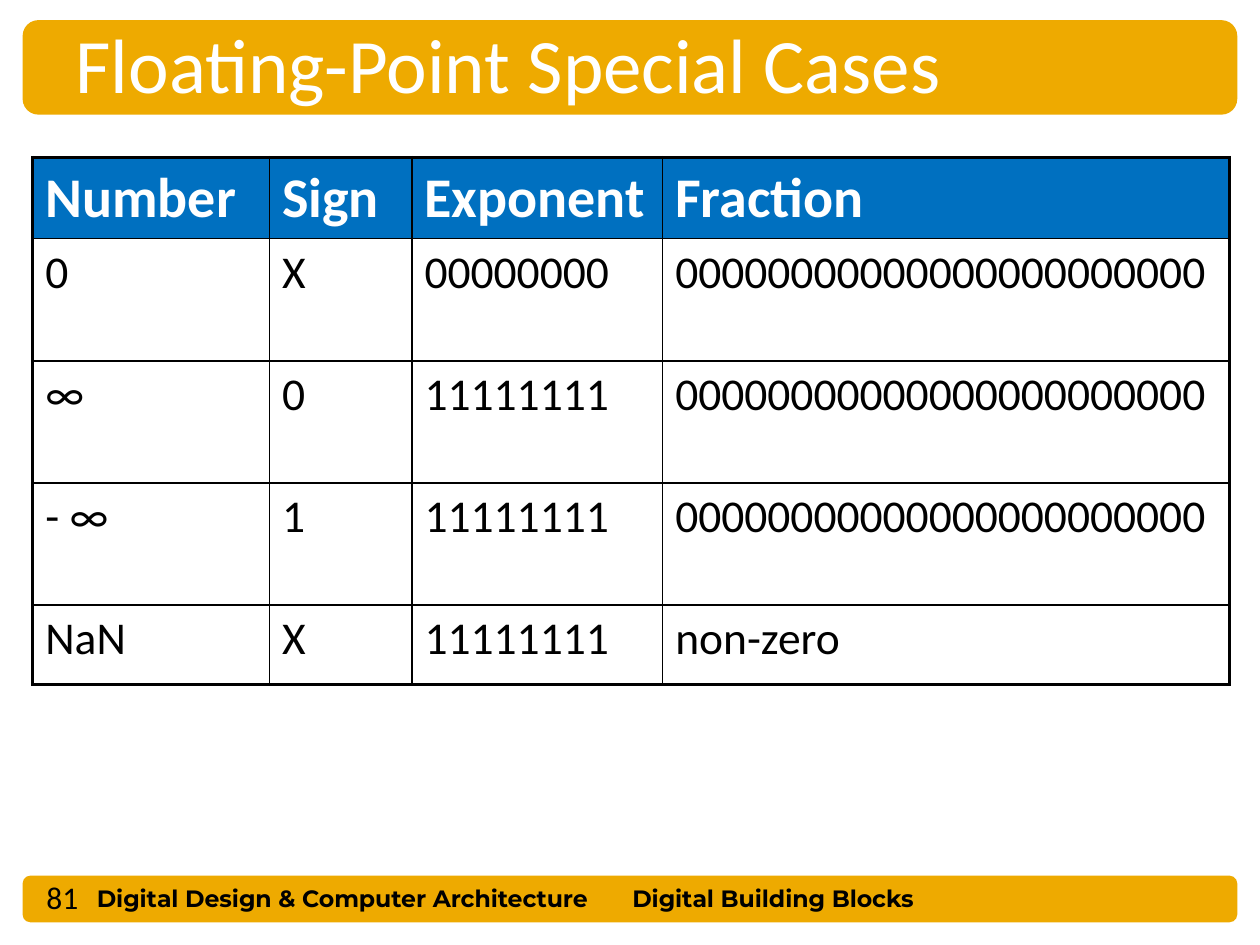
from lxml.etree import SubElement
from pptx import Presentation
from pptx.dml.color import RGBColor
from pptx.enum.shapes import MSO_SHAPE
from pptx.enum.text import MSO_ANCHOR, PP_ALIGN
from pptx.oxml.ns import qn
from pptx.util import Inches, Pt

AMBER = RGBColor(0xEE, 0xAA, 0x00)
BLUE = RGBColor(0x00, 0x70, 0xC0)
BLACK = RGBColor(0x00, 0x00, 0x00)
WHITE = RGBColor(0xFF, 0xFF, 0xFF)

GRID_COLUMNS, GRID_ROWS = 100, 75
TITLE_ONLY = 5
OUTER, INNER = 2.25, 1

ZEROS = "0" * 23
ONES = "1" * 8
SPECIAL_CASES = [
    ("Number", "Sign", "Exponent", "Fraction"),
    ("0", "X", "0" * 8, ZEROS),
    ("∞", "0", ONES, ZEROS),
    ("- ∞", "1", ONES, ZEROS),
    ("NaN", "X", ONES, "non-zero"),
]


class LectureSlide:
    """Lecture style and current slide; lengths are in grid columns and rows."""

    body_font = "Calibri"
    footer_font = "Montserrat"

    def __init__(self, deck):
        self.slide = deck.slides.add_slide(deck.slide_layouts[TITLE_ONLY])
        self.column = deck.slide_width / GRID_COLUMNS
        self.row = deck.slide_height / GRID_ROWS

    def box(self, left, top, width, height):
        return (round(left * self.column), round(top * self.row),
                round(width * self.column), round(height * self.row))

    def add_text(self, frame, text, size, color=BLACK, font=body_font,
                 bold=False):
        paragraph = frame.paragraphs[0]
        paragraph.alignment = PP_ALIGN.LEFT
        run = paragraph.add_run()
        run.text = text
        run.font.size, run.font.name, run.font.bold = Pt(size), font, bold
        run.font.color.rgb = color

    def bar(self, top, height):
        bar = self.slide.shapes.add_shape(
            MSO_SHAPE.ROUNDED_RECTANGLE, *self.box(1.8, top, 96.4, height))
        bar.shadow.inherit = False
        bar.fill.solid()
        bar.fill.fore_color.rgb = AMBER
        bar.line.fill.background()

    def title(self, text, *place):
        title = self.slide.shapes.title
        title.left, title.top, title.width, title.height = self.box(*place)
        title.text_frame.vertical_anchor = MSO_ANCHOR.MIDDLE
        self.add_text(title.text_frame, text, 44, WHITE)
        # The placeholder comes first in the slide, so lift it above the bars.
        title.element.getparent().append(title.element)

    def label(self, text, place, size, **style):
        label = self.slide.shapes.add_textbox(*self.box(*place))
        label.text_frame.word_wrap = True
        self.add_text(label.text_frame, text, size, **style)

    def border(self, cell, widths):
        """Draw black cell edges; widths are left, right, top, bottom points."""
        properties = cell._tc.get_or_add_tcPr()
        for edge, width in zip(("lnL", "lnR", "lnT", "lnB"), widths):
            line = SubElement(properties, qn(f"a:{edge}"), w=str(Pt(width)))
            fill = SubElement(line, qn("a:solidFill"))
            SubElement(fill, qn("a:srgbClr"), val=str(BLACK))

    def table(self, entries, left, top, widths, heights):
        last_row, last_column = len(heights) - 1, len(widths) - 1
        place = self.box(left, top, sum(widths), sum(heights))
        table = self.slide.shapes.add_table(
            len(heights), len(widths), *place).table
        for column, width in zip(table.columns, widths):
            column.width = round(width * self.column)
        for row, height in zip(table.rows, heights):
            row.height = round(height * self.row)
        for r, entry in enumerate(entries):
            for c, text in enumerate(entry):
                cell = table.cell(r, c)
                on_rim = (c == 0, c == last_column, r == 0, r == last_row)
                self.border(cell, [OUTER if rim else INNER for rim in on_rim])
                if r == 0:
                    cell.fill.solid()
                    cell.fill.fore_color.rgb = BLUE
                    self.add_text(cell.text_frame, text, 32, WHITE, bold=True)
                else:
                    cell.fill.background()
                    self.add_text(cell.text_frame, text, 26)


def main():
    deck = Presentation()
    deck.slide_width, deck.slide_height = Inches(10), Inches(7.5)

    lecture = LectureSlide(deck)
    lecture.bar(69.5, 3.7)
    lecture.bar(1.6, 7.5)
    footer = {"size": 13.5, "font": lecture.footer_font, "bold": True}
    lecture.label("Digital Design & Computer Architecture",
                  (6.7, 69.7, 44.4, 3.3), **footer)
    lecture.label("Digital Building Blocks", (49.2, 69.7, 29.4, 3.3), **footer)
    lecture.title("Floating-Point Special Cases", 5, 0.8, 90, 8.4)
    lecture.table(SPECIAL_CASES, 2.6, 12.5,
                  widths=(18.8, 11.3, 19.9, 45),
                  heights=(6.3, 9.7, 9.7, 9.7, 6.3))
    lecture.label("81", (2.7, 69.2, 8.2, 3.9), size=18)

    deck.save("out.pptx")


if __name__ == "__main__":
    main()
